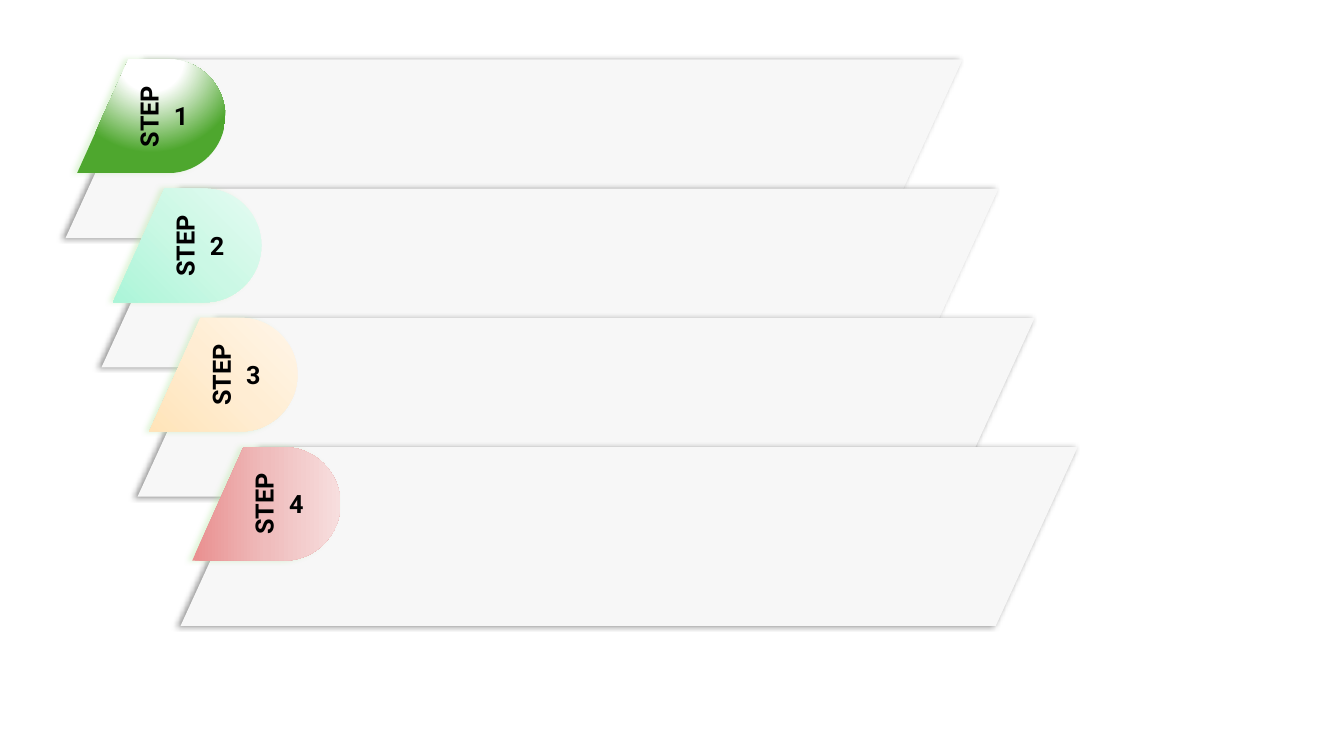
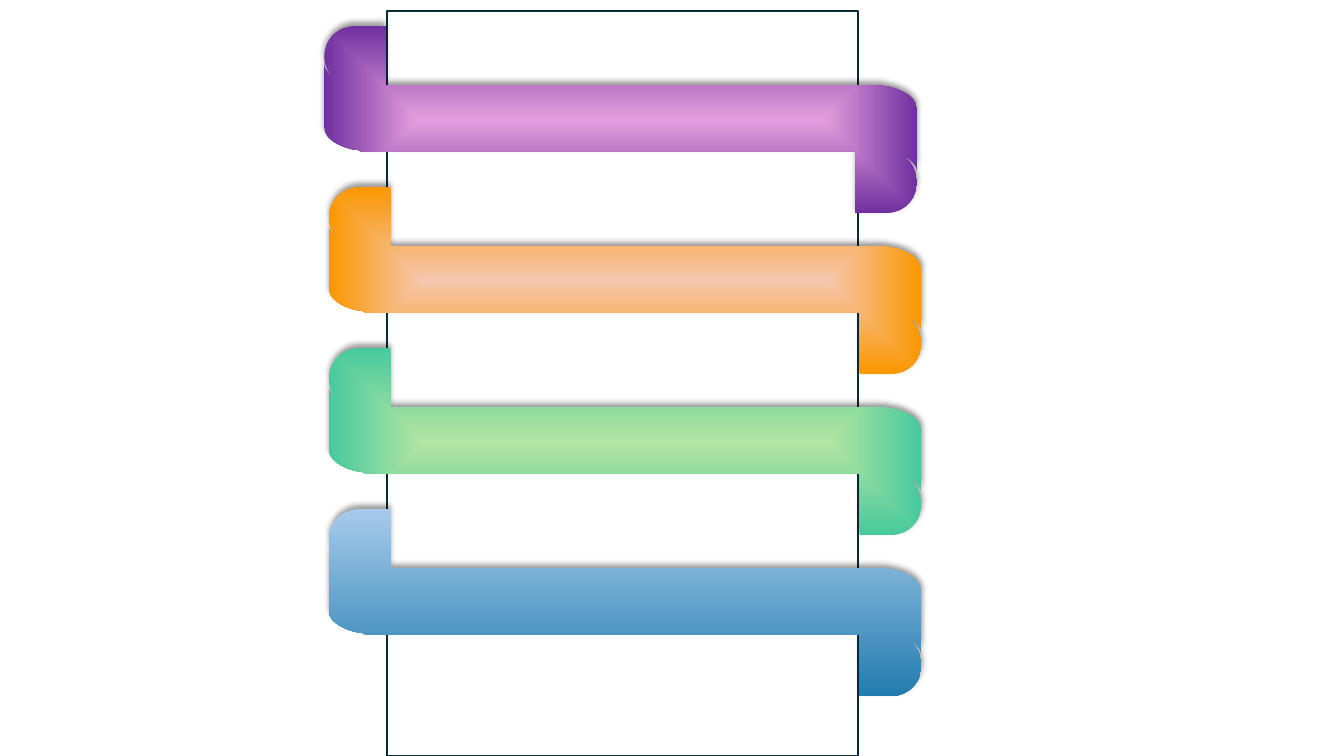
from lxml import etree
from pptx import Presentation
from pptx.dml.color import RGBColor
from pptx.enum.shapes import MSO_SHAPE
from pptx.enum.text import MSO_AUTO_SIZE
from pptx.oxml import parse_xml
from pptx.oxml.ns import nsdecls, qn
from pptx.util import Pt

FONT = "Roboto"
BLACK = RGBColor(0x00, 0x00, 0x00)
WHITE = RGBColor(0xFF, 0xFF, 0xFF)
PANEL_GREY = RGBColor(0xF7, 0xF7, 0xF7)
FRAME_NAVY = RGBColor(0x09, 0x2A, 0x39)
GLOW_GREEN = RGBColor(0xB4, 0xE5, 0xA2)
GREEN = RGBColor(0x4E, 0xA7, 0x2E)
MINTS = [RGBColor(0xAB, 0xF5, 0xD8), RGBColor(0xCB, 0xF8, 0xE5), RGBColor(0xE5, 0xFB, 0xF2)]
CREAMS = [RGBColor(0xFF, 0xE4, 0xB9), RGBColor(0xFF, 0xED, 0xD3), RGBColor(0xFF, 0xF6, 0xE9)]
ROSES = [RGBColor(0xE9, 0x8F, 0x8F), RGBColor(0xEF, 0xBC, 0xBC), RGBColor(0xF7, 0xDE, 0xDE)]
PINK, PURPLE = RGBColor(0xE5, 0x9E, 0xDD), RGBColor(0x70, 0x30, 0xA0)
PEACH, ORANGE = RGBColor(0xF6, 0xC6, 0xAD), RGBColor(0xFA, 0x97, 0x00)
LIME, TEAL = RGBColor(0xB4, 0xE5, 0xA2), RGBColor(0x47, 0xC9, 0x9D)
SKY, BLUE = RGBColor(0xA6, 0xCA, 0xEC), RGBColor(0x23, 0x7C, 0xAE)

# Gradient directions: a number is a linear angle, a tuple a path with its
# focus rectangle (left, top, right, bottom, in percent)
ABOVE = ("circle", 50, -80, 50, 180)
CORNER = ("circle", 0, 100, 100, 0)
CENTRE = ("rect", 50, 50, 50, 50)

# Number, panel left, gradient stops, gradient direction
STEPS = [
    ("1", 46.8, [(0, WHITE), (35, WHITE), (100, GREEN)], ABOVE),
    ("2", 72.5, list(zip((0, 50, 100), MINTS)), CORNER),
    ("3", 98.3, list(zip((0, 50, 100), CREAMS)), CORNER),
    ("4", 129, list(zip((0, 50, 100), ROSES)), 0),
]
STEP_TOP, STEP_PITCH = 42.4, 92.3
PANEL_WIDTH, PANEL_HEIGHT, PANEL_SLANT = 640.8, 127.7, 0.458
BADGE_OFFSET = 8.3

# Left, gradient stops, gradient direction
RIBBONS = [
    (231.6, [(0, PINK), (100, PURPLE)], CENTRE),
    (234.8, [(0, PEACH), (100, ORANGE)], CENTRE),
    (234.8, [(0, LIME), (100, TEAL)], CENTRE),
    (234.8, [(0, SKY), (100, BLUE)], 90),
]
RIBBON_TOP, RIBBON_PITCH = 18.6, 115
FRAME = (276.5, 7.9, 336.7, 532.1)

# Outlines: one point is a line end; three points are a Bezier curve
BADGE_OUTLINE = [
    [(36.7, 0)], [(65.3, 0)],
    [(87.7, 0), (105.9, 18.2), (105.9, 40.6)],
    [(105.9, 63), (87.7, 81.2), (65.3, 81.2)],
    [(0, 81.2)],
]
RIBBON_OUTLINE = [
    # left end, downwards
    [(44, 0)], [(22, 0)],
    [(10, 0), (0, 9.8), (0, 22)],
    [(0, 25), (0.7, 28), (2, 30.4)],
    [(5.6, 36)],
    [(2, 33), (0, 30), (0, 26.6)],
    [(0, 72.6)],
    [(0, 79.4), (8.4, 85.4), (20.2, 88)],
    [(25.8, 88.8)], [(25.8, 89.6)],
    # right end, upwards
    [(379.2, 89.6)], [(379.2, 133.6)], [(401.4, 133.6)],
    [(413.4, 133.6), (423.4, 124), (423.4, 111.6)],
    [(423.4, 104), (419.6, 97.2), (414, 93)],
    [(410.4, 91.4)], [(412, 91.6)],
    [(419, 94.6), (423.4, 99.4), (423.4, 104.6)],
    [(423.4, 59)],
    [(423.4, 52), (415, 46), (403.2, 43.4)],
    [(398, 42.6)], [(398, 42.2)], [(44, 42.2)],
]


def add_shadow(shape, color, direction):
    shape._element.spPr.append(parse_xml(
        f'<a:effectLst {nsdecls("a")}>'
        f'<a:outerShdw blurRad="{Pt(4)}" dist="{Pt(3)}" dir="{direction * 60000}" '
        f'algn="ctr" rotWithShape="0"><a:srgbClr val="{color}">'
        '<a:alpha val="40000"/></a:srgbClr></a:outerShdw></a:effectLst>'))


def set_gradient(shape, stops, direction):
    gradient = parse_xml(f'<a:gradFill {nsdecls("a")} rotWithShape="1"><a:gsLst/></a:gradFill>')
    for position, color in stops:
        stop = etree.SubElement(gradient[0], qn("a:gs"), pos=str(position * 1000))
        etree.SubElement(stop, qn("a:srgbClr"), val=str(color))
    if isinstance(direction, tuple):
        kind, *focus = direction
        sides = {side: str(share * 1000) for side, share in zip("ltrb", focus)}
        gradient_path = etree.SubElement(gradient, qn("a:path"), {"path": kind})
        etree.SubElement(gradient_path, qn("a:fillToRect"), sides)
    else:
        etree.SubElement(gradient, qn("a:lin"), ang=str(direction * 60000), scaled="0")
    shape.fill.background()
    properties = shape._element.spPr
    properties.replace(properties.find(qn("a:noFill")), gradient)


def add_outline(shapes, segments, left, top, stops, direction):
    """Add a closed, borderless gradient shape; segments are measured from left, top."""
    ends = [(Pt(left + x), Pt(top + y)) for x, y in (segment[-1] for segment in segments)]
    builder = shapes.build_freeform(*ends[0])
    builder.add_line_segments(ends[1:], close=True)
    outline = builder.convert_to_shape()
    bend_lines(outline, segments)
    set_gradient(outline, stops, direction)
    outline.line.fill.background()
    return outline


def bend_lines(outline, segments):
    """Replace the straight line of each three-point segment by its Bezier curve."""
    lines = list(outline._element.spPr.iter(qn("a:lnTo")))
    for line, segment in zip(lines, segments[1:]):
        if len(segment) == 3:
            curve = etree.Element(qn("a:cubicBezTo"))
            for x, y in segment:
                etree.SubElement(curve, qn("a:pt"), x=str(Pt(x)), y=str(Pt(y)))
            line.getparent().replace(line, curve)


def add_label(shapes, text, left, top, width, rotation=0):
    label = shapes.add_textbox(Pt(left), Pt(top), Pt(width), Pt(29))
    label.rotation = rotation
    label.text_frame.word_wrap = False
    label.text_frame.auto_size = MSO_AUTO_SIZE.SHAPE_TO_FIT_TEXT
    run = label.text_frame.paragraphs[0].add_run()
    run.text = text
    run.font.name = FONT
    run.font.size = Pt(18)
    run.font.bold = True
    run.font.color.rgb = BLACK


def add_step(slide, top, number, left, stops, direction):
    shapes = slide.shapes.add_group_shape().shapes
    panel = shapes.add_shape(MSO_SHAPE.PARALLELOGRAM, Pt(left), Pt(top),
                             Pt(PANEL_WIDTH), Pt(PANEL_HEIGHT))
    panel.adjustments[0] = PANEL_SLANT
    panel.fill.solid()
    panel.fill.fore_color.rgb = PANEL_GREY
    panel.line.fill.background()
    add_shadow(panel, BLACK, 180)
    badge = add_outline(shapes, BADGE_OUTLINE, left + BADGE_OFFSET, top, stops, direction)
    add_shadow(badge, GLOW_GREEN, 180)
    add_label(shapes, "STEP", left + 30, top + 25.9, 59, rotation=270)
    add_label(shapes, number, left + 70.4, top + 25.9, 23.8)


def add_frame(slide):
    frame = slide.shapes.add_shape(MSO_SHAPE.RECTANGLE, *map(Pt, FRAME))
    frame.shadow.inherit = False
    frame.fill.solid()
    frame.fill.fore_color.rgb = WHITE
    frame.line.color.rgb = FRAME_NAVY
    frame.line.width = Pt(1.5)


def main():
    deck = Presentation()
    deck.slide_width, deck.slide_height = Pt(960), Pt(540)
    blank = deck.slide_layouts[6]

    steps_slide = deck.slides.add_slide(blank)
    for row, step in enumerate(STEPS):
        add_step(steps_slide, STEP_TOP + row * STEP_PITCH, *step)

    ribbons_slide = deck.slides.add_slide(blank)
    add_frame(ribbons_slide)
    for row, (left, stops, direction) in enumerate(RIBBONS):
        ribbon = add_outline(ribbons_slide.shapes, RIBBON_OUTLINE, left,
                             RIBBON_TOP + row * RIBBON_PITCH, stops, direction)
        add_shadow(ribbon, BLACK, 270)

    deck.save("out.pptx")


if __name__ == "__main__":
    main()
